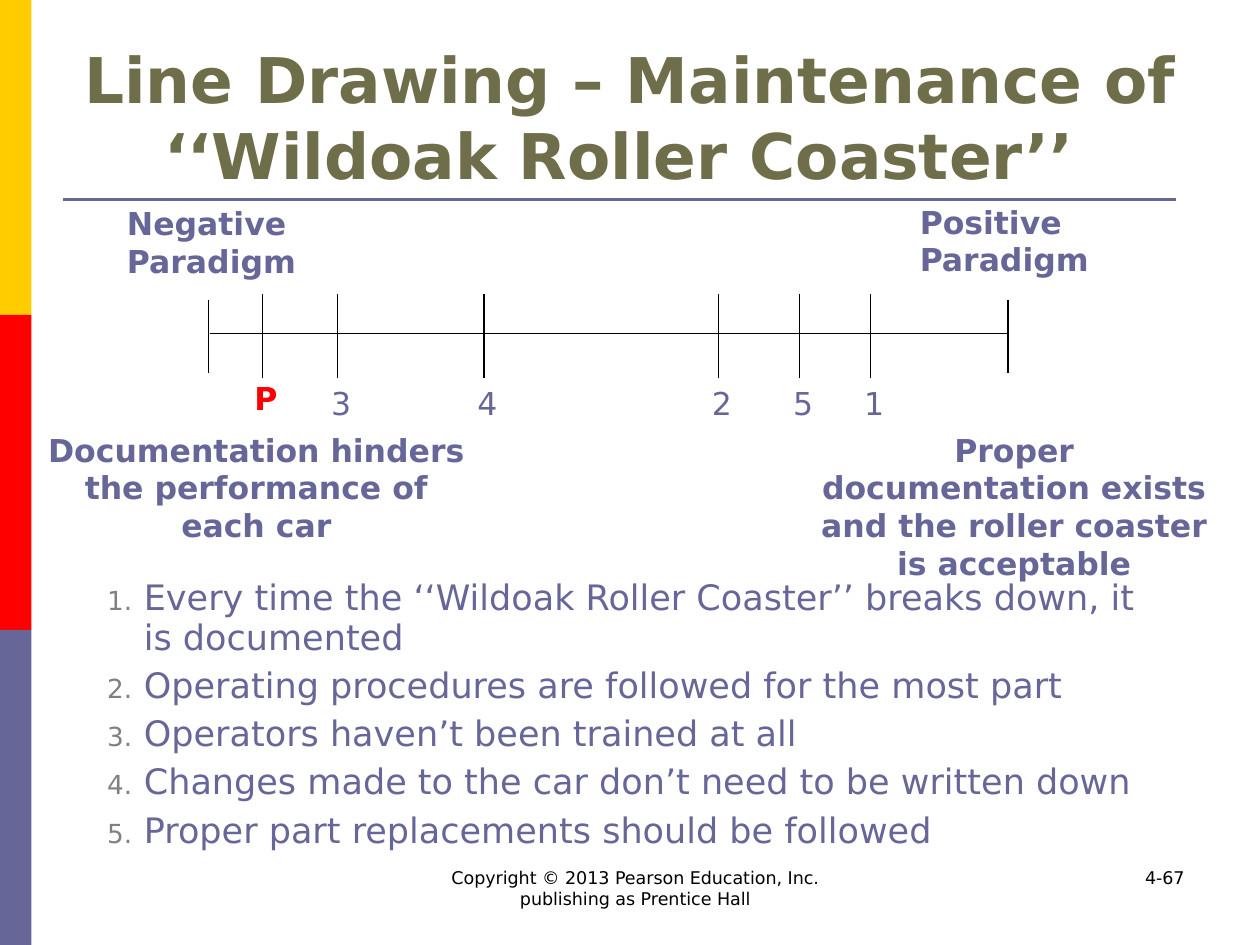
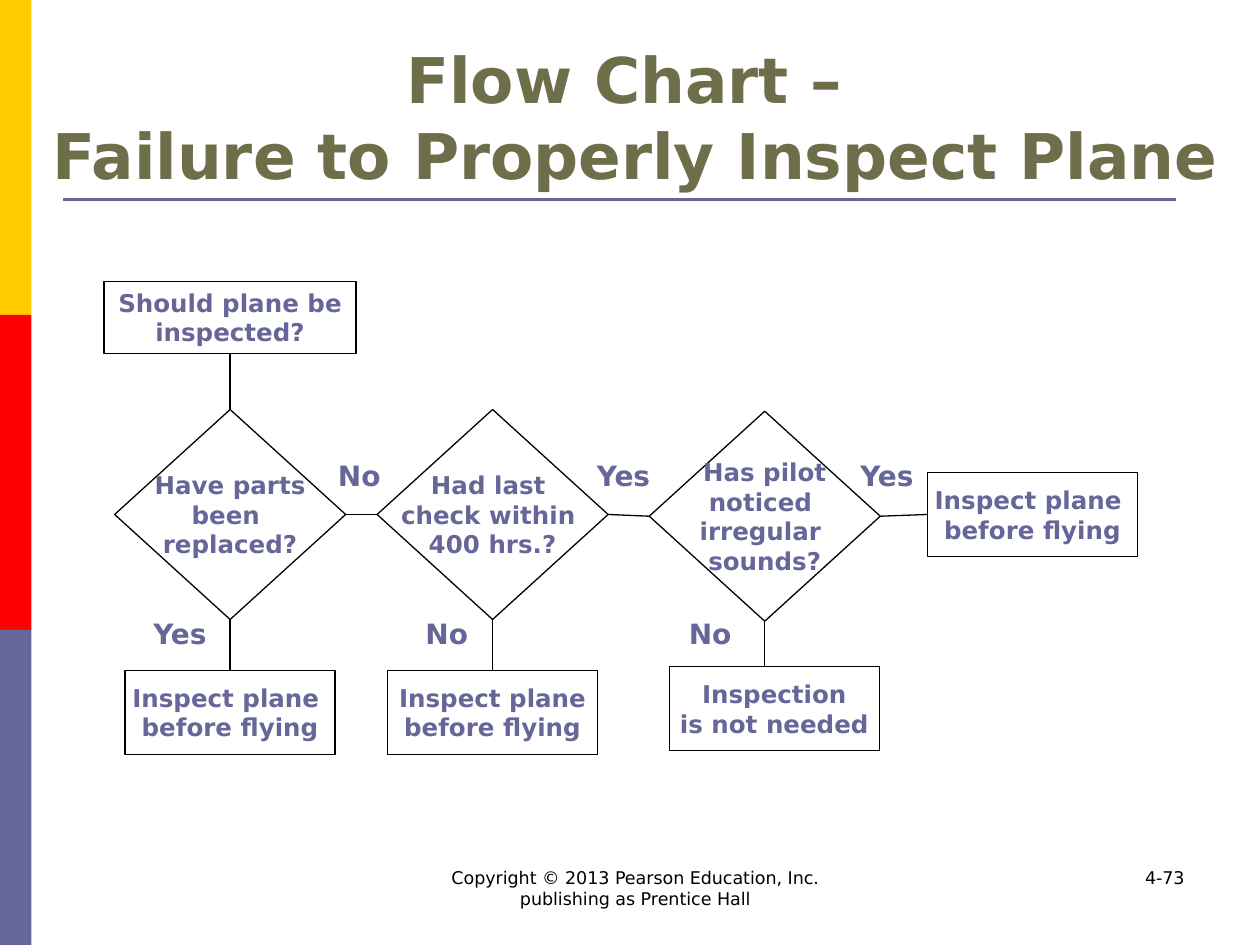
from lxml.etree import SubElement
from pptx import Presentation
from pptx.dml.color import RGBColor
from pptx.enum.shapes import MSO_CONNECTOR as Connector, MSO_SHAPE as Shape
from pptx.enum.text import MSO_ANCHOR as Anchor, MSO_AUTO_SIZE as AutoSize, PP_ALIGN as Align
from pptx.oxml.ns import qn
from pptx.util import Pt

FONT = "DejaVu Sans"
COLORS = {
    "title": "6F6E4A",
    "text": "666699",
    "yellow": "FFCC00",
    "red": "FF0000",
    "black": "000000",
    "white": "FFFFFF",
    "number": "808080",
}
COPYRIGHT = "Copyright © 2013 Pearson Education, Inc. publishing as Prentice Hall"
TOP, LEFT, BOTTOM, RIGHT = range(4)


def color(name):
    return RGBColor.from_string(COLORS[name])


def points(*values):
    return [Pt(value) for value in values]


def write(frame, text, size, ink="text", bold=False, align=Align.LEFT,
          anchor=Anchor.TOP, wrap=True, spacing=None, gap=0):
    frame.text = text
    frame.auto_size = AutoSize.NONE
    frame.word_wrap = wrap
    frame.vertical_anchor = anchor
    for index, para in enumerate(frame.paragraphs):
        para.alignment = align
        para.space_before = Pt(gap if index else 0)
        if spacing:
            para.line_spacing = spacing
        for span in para.runs:
            span.font.name = FONT
            span.font.size = Pt(size)
            span.font.bold = bold
            span.font.color.rgb = color(ink)


def add_label(page, text, place, size, **style):
    box = page.shapes.add_textbox(*points(*place))
    write(box.text_frame, text, size, **style)


def add_box(page, kind, place, fill, outline=None):
    box = page.shapes.add_shape(kind, *points(*place))
    box.shadow.inherit = False
    box.fill.solid()
    box.fill.fore_color.rgb = color(fill)
    if outline:
        box.line.color.rgb = color(outline)
        box.line.width = Pt(0.75)
    else:
        box.line.fill.background()
    return box


def add_line(page, x1, y1, x2, y2, ink="black", width=0.75):
    line = page.shapes.add_connector(Connector.STRAIGHT, *points(x1, y1, x2, y2))
    line.line.color.rgb = color(ink)
    line.line.width = Pt(width)
    SubElement(line._element.spPr, qn("a:effectLst"))
    return line


def join(page, start, start_side, end, end_side):
    line = add_line(page, 0, 0, 0, 0)
    line.begin_connect(start, start_side)
    line.end_connect(end, end_side)


def place_holder(holder, place):
    holder.left, holder.top, holder.width, holder.height = points(*place)


def add_page(deck, layout, title, title_place, number):
    page = deck.slides.add_slide(deck.slide_layouts[layout])
    for index, fill in enumerate(("yellow", "red", "text")):
        add_box(page, Shape.RECTANGLE, (0, 180 * index, 18, 180), fill)
    add_line(page, 36, 114, 672, 114, "text", 1.5)
    place_holder(page.shapes.title, title_place)
    write(page.shapes.title.text_frame, title, 36, ink="title", bold=True,
          align=Align.CENTER, anchor=Anchor.MIDDLE)
    add_label(page, number, (516, 492, 168, 36), 10, ink="black", align=Align.RIGHT)
    add_label(page, COPYRIGHT, (240, 492, 246, 36), 10, ink="black", align=Align.CENTER)
    return page


def add_mark(page, text, x, label_top=216, **style):
    add_line(page, x, 168, x, 216)
    add_label(page, text, (x - 13, label_top, 30, 29), 18, align=Align.CENTER, **style)


def add_numbered_list(holder, items):
    write(holder.text_frame, "\n".join(items), 20, spacing=0.95, gap=4.7)
    for para in holder.text_frame.paragraphs:
        props = para._p.get_or_add_pPr()
        props.set("marL", str(Pt(21)))
        props.set("indent", str(Pt(-21)))
        tint = SubElement(props, qn("a:buClr"))
        SubElement(tint, qn("a:srgbClr"), val=COLORS["number"])
        SubElement(props, qn("a:buSzPct"), val="75000")
        SubElement(props, qn("a:buFont"), typeface=FONT)
        SubElement(props, qn("a:buAutoNum"), type="arabicPeriod")


def add_step(page, text, left, top, kind=Shape.RECTANGLE, size=(120, 48),
             anchor=Anchor.MIDDLE, wrap=False):
    step = add_box(page, kind, (left, top, *size), "white", "black")
    write(step.text_frame, text, 14, bold=True, align=Align.CENTER,
          anchor=anchor, wrap=wrap)
    return step


def add_decision(page, text, left, top):
    return add_step(page, text, left, top, Shape.FLOWCHART_DECISION, (132, 120))


def build_line_drawing(deck):
    page = add_page(
        deck, 1, "Line Drawing – Maintenance of ‘‘Wildoak Roller Coaster’’ ",
        (36, 21.5, 648, 90), "4-67")
    add_line(page, 120, 190.5, 576, 190.5)
    for x in (119, 576):
        add_line(page, x, 171.5, x, 213)
    add_mark(page, "P", 150, 213, ink="red", bold=True)
    for text, x in (("3", 193), ("4", 276.5), ("2", 410.5), ("5", 457), ("1", 497.5)):
        add_mark(page, text, x)
    for text, left, top in (("Negative", 65.5, 117.5), ("Positive", 518.5, 116.5)):
        add_label(page, f"{text}\nParadigm", (left, top, 113, 39), 18,
                  bold=True, spacing=0.8, gap=4.2)
    for text, left, width in (
        ("Documentation hinders the performance of each car", 18, 257),
        ("Proper documentation exists and the roller coaster is acceptable", 459, 241),
    ):
        add_label(page, text, (left, 242.5, width, 73), 18, bold=True, align=Align.CENTER)
    body = page.placeholders[1]
    place_holder(body, (54, 327, 623.5, 164))
    add_numbered_list(body, (
        "Every time the ‘‘Wildoak Roller Coaster’’ breaks down, it is documented",
        "Operating procedures are followed for the most part",
        "Operators haven’t been trained at all",
        "Changes made to the car don’t need to be written down",
        "Proper part replacements should be followed",
    ))


def build_flow_chart(deck):
    page = add_page(
        deck, 5, "Flow Chart – \nFailure to Properly Inspect Plane",
        (20, 21.5, 686, 90), "4-73")
    question = add_step(page, "Should plane be inspected?", 59.5, 161,
                        size=(144, 41), anchor=Anchor.TOP, wrap=True)
    parts = add_decision(page, " Have parts \nbeen \nreplaced?", 65.5, 234)
    check = add_decision(page, "Had last \ncheck within \n400 hrs.?", 215.5, 234)
    sounds = add_decision(page, " Has pilot \nnoticed \nirregular \nsounds?", 371, 235)
    inspect_parts = add_step(page, "Inspect plane \nbefore flying", 71.5, 383)
    inspect_check = add_step(page, "Inspect plane\nbefore flying", 221.5, 383)
    add_step(page, "Inspection\nis not needed", 382.5, 381)
    inspect_sounds = add_step(page, "Inspect plane \nbefore flying", 530, 270)

    join(page, question, BOTTOM, parts, TOP)
    join(page, parts, RIGHT, check, LEFT)
    join(page, check, RIGHT, sounds, LEFT)
    join(page, sounds, RIGHT, inspect_sounds, LEFT)
    join(page, parts, BOTTOM, inspect_parts, TOP)
    join(page, check, BOTTOM, inspect_check, TOP)
    add_line(page, 437, 355, 437, 381).begin_connect(sounds, BOTTOM)

    for top, answers in (
        (258.5, (("No", 186), ("Yes", 334), ("Yes", 484.5))),
        (349, (("Yes", 80.5), ("No", 236), ("No", 386.5))),
    ):
        for text, left in answers:
            add_label(page, text, (left, top, 54, 27), 16, bold=True)


def main():
    deck = Presentation()
    deck.slide_width, deck.slide_height = points(720, 540)
    build_line_drawing(deck)
    build_flow_chart(deck)
    deck.save("out.pptx")


if __name__ == "__main__":
    main()
